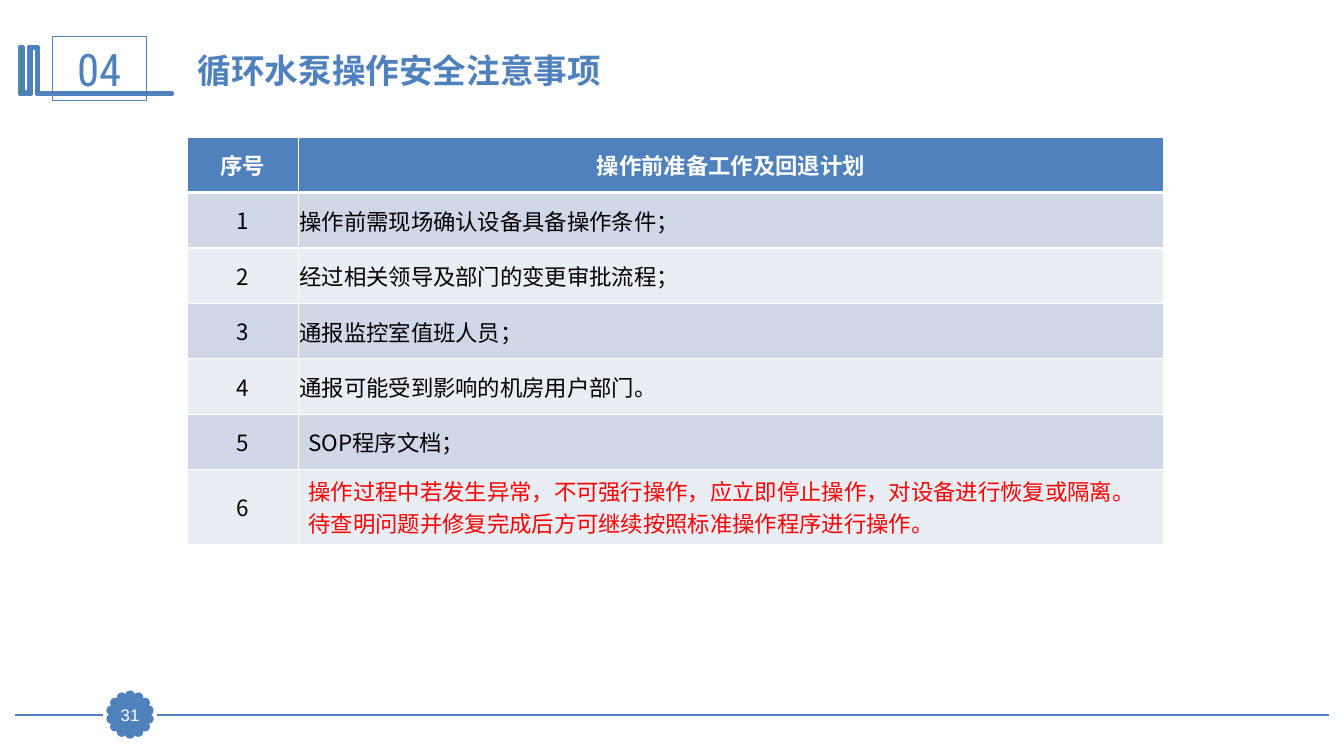
import math
from dataclasses import dataclass

import pptx
import pptx.dml.color
import pptx.enum.shapes
import pptx.enum.text
import pptx.oxml
import pptx.oxml.ns
import pptx.util

Inches = pptx.util.Inches
SHAPE = pptx.enum.shapes.MSO_SHAPE
ALIGN = pptx.enum.text.PP_ALIGN
ANCHOR = pptx.enum.text.MSO_ANCHOR
NAMESPACE = pptx.oxml.ns.nsdecls("a")


@dataclass(frozen=True)
class Theme:
    blue: str = "4F81BD"
    green: str = "339933"
    white: str = "FFFFFF"
    black: str = "000000"
    red: str = "FF0000"
    bands: tuple = ("D0D8E8", "E9EDF4")
    latin: str = "Arial"
    chinese: str = "Noto Sans CJK SC"
    number: str = "Roboto Condensed"
    section_size: int = 32
    title_size: int = 24
    table_size: int = 16
    page_size: int = 12


def rgb(value):
    return pptx.dml.color.RGBColor.from_string(value)


class SlideBuilder:
    def __init__(self, slide, theme):
        self.slide = slide
        self.theme = theme

    def add_text(self, frame, text, size, color, font=None, bold=False, align=ALIGN.LEFT):
        paragraph = frame.paragraphs[0]
        paragraph.alignment = align
        run = paragraph.add_run()
        run.text = text
        formats = {"name": font or self.theme.latin, "size": pptx.util.Pt(size), "bold": bold}
        for name, value in formats.items():
            setattr(run.font, name, value)
        run.font.color.rgb = rgb(color)
        run.font._element.append(pptx.oxml.parse_xml(
            f'<a:ea {NAMESPACE} typeface="{self.theme.chinese}"/>'))

    def set_frame(self, frame, anchor, margins):
        sides = ("margin_left", "margin_top", "margin_right", "margin_bottom")
        formats = {"word_wrap": True, "vertical_anchor": anchor,
                   "auto_size": pptx.enum.text.MSO_AUTO_SIZE.NONE,
                   **dict(zip(sides, map(Inches, margins)))}
        for name, value in formats.items():
            setattr(frame, name, value)

    def paint(self, shape, fill, width):
        shape.shadow.inherit = False
        if fill:
            shape.fill.solid()
            shape.fill.fore_color.rgb = rgb(fill)
        else:
            shape.fill.background()
        shape.line.color.rgb = rgb(self.theme.blue)
        shape.line.width = pptx.util.Pt(width)

    def title(self, text, left, top, width, height):
        shape = self.slide.shapes.title
        box = {"left": left, "top": top, "width": width, "height": height}
        for name, value in box.items():
            setattr(shape, name, Inches(value))
        self.set_frame(shape.text_frame, ANCHOR.TOP, WIDE)
        self.add_text(shape.text_frame, text, self.theme.title_size, self.theme.blue, bold=True)

    def shape(self, kind, left, top, width, height, fill=None, line_width=0.75):
        shape = self.slide.shapes.add_shape(kind, *map(Inches, (left, top, width, height)))
        self.paint(shape, fill, line_width)
        return shape

    def label(self, shape, text, size, color, font, margins):
        self.set_frame(shape.text_frame, ANCHOR.MIDDLE, margins)
        self.add_text(shape.text_frame, text, size, color, font, align=ALIGN.CENTER)

    def rule(self, start, end, y):
        connector = self.slide.shapes.add_connector(
            pptx.enum.shapes.MSO_CONNECTOR.STRAIGHT, *map(Inches, (start, y, end, y)))
        connector.line.color.rgb = rgb(self.theme.blue)
        connector.line.width = pptx.util.Pt(1.25)
        connector._element.spPr.append(pptx.oxml.parse_xml(f"<a:effectLst {NAMESPACE}/>"))

    def outline(self, points, fill, line_width):
        """Draw a closed outline whose points are in hundredths of an inch."""
        builder = self.slide.shapes.build_freeform(*points[0], scale=Inches(0.01))
        builder.add_line_segments(points[1:], close=True)
        self.paint(builder.convert_to_shape(), fill, line_width)

    def page_badge(self, text, center_x, center_y, radius, petals):
        size = 0.07
        for index in range(petals):
            angle = 2 * math.pi * index / petals
            self.shape(SHAPE.OVAL, center_x + radius * math.sin(angle) - size / 2,
                       center_y - radius * math.cos(angle) - size / 2,
                       size, size, self.theme.blue, 2)
        square = self.shape(SHAPE.RECTANGLE, center_x - 0.16, center_y - 0.16, 0.32, 0.32,
                            self.theme.blue)
        self.label(square, text, self.theme.page_size, self.theme.white,
                   self.theme.latin, (0, 0, 0, 0))

    def cell(self, cell, text, fill, color, font, bold, align, margins, bottom_width):
        properties = cell._tc.get_or_add_tcPr()
        for side, width in {"L": 1, "R": 1, "T": 1, "B": bottom_width}.items():
            properties.append(pptx.oxml.parse_xml(
                f'<a:ln{side} {NAMESPACE} w="{pptx.util.Pt(width)}"><a:solidFill>'
                f'<a:srgbClr val="{self.theme.white}"/></a:solidFill></a:ln{side}>'))
        cell.fill.solid()
        cell.fill.fore_color.rgb = rgb(fill)
        cell.vertical_anchor = ANCHOR.MIDDLE
        for side, margin in zip(("left", "top", "right", "bottom"), margins):
            setattr(cell, f"margin_{side}", Inches(margin))
        self.add_text(cell.text_frame, text, self.theme.table_size, color, font, bold, align)

    def table(self, header, items, left, top, widths, heights):
        """Draw a numbered table; each item is (text, colour, cell margins)."""
        theme = self.theme
        table = self.slide.shapes.add_table(
            len(heights), len(widths), Inches(left), Inches(top),
            Inches(sum(widths)), Inches(sum(heights))).table
        for column, width in zip(table.columns, widths):
            column.width = Inches(width)
        for row, height in zip(table.rows, heights):
            row.height = Inches(height)
        for column, text in enumerate(header):
            self.cell(table.cell(0, column), text, theme.blue, theme.white, theme.latin,
                      True, ALIGN.CENTER, WIDE, 3)
        for number, (text, color, margins) in enumerate(items, 1):
            fill = theme.bands[(number - 1) % 2]
            self.cell(table.cell(number, 0), str(number), fill, theme.black, theme.chinese,
                      False, ALIGN.CENTER, WIDE, 1)
            self.cell(table.cell(number, 1), text, fill, color, theme.chinese,
                      False, ALIGN.LEFT, margins, 1)


WIDE = (0.1, 0.05, 0.1, 0.05)
TIGHT = (0.01, 0.01, 0.01, 0)
BRACKET = [(37, 46), (38, 46), (38, 92), (171, 92), (171, 94), (36, 94), (36, 48), (31, 48),
           (31, 94), (19, 94), (19, 46), (23, 46), (23, 91), (28, 91), (28, 46)]


def main():
    theme = Theme()
    presentation = pptx.Presentation()
    presentation.slide_width = Inches(13.33)
    presentation.slide_height = Inches(7.5)
    builder = SlideBuilder(presentation.slides.add_slide(presentation.slide_layouts[5]), theme)

    builder.rule(1.56, 13.18, 7.09)
    builder.rule(0.15, 1.02, 7.09)
    builder.page_badge("31", 1.29, 7.09, 0.19, 14)

    builder.outline(BRACKET, theme.green, 2)
    section = builder.shape(SHAPE.RECTANGLE, 0.52, 0.36, 0.93, 0.64)
    builder.label(section, "04", theme.section_size, theme.blue, theme.number, WIDE)
    builder.title("循环水泵操作安全注意事项", 1.86, 0.44, 9.69, 0.5)

    items = [
        ("操作前需现场确认设备具备操作条件；", theme.black, TIGHT),
        ("经过相关领导及部门的变更审批流程；", theme.black, TIGHT),
        ("通报监控室值班人员；", theme.black, TIGHT),
        ("通报可能受到影响的机房用户部门。", theme.black, TIGHT),
        ("SOP程序文档；", theme.black, WIDE),
        ("操作过程中若发生异常，不可强行操作，应立即停止操作，对设备进行恢复或隔离。"
         "待查明问题并修复完成后方可继续按照标准操作程序进行操作。", theme.red, WIDE),
    ]
    builder.table(("序号", "操作前准备工作及回退计划"), items, 1.86, 1.36,
                  (1.1, 8.58), [0.55] * 6 + [0.66])
    presentation.save("out.pptx")


if __name__ == "__main__":
    main()
